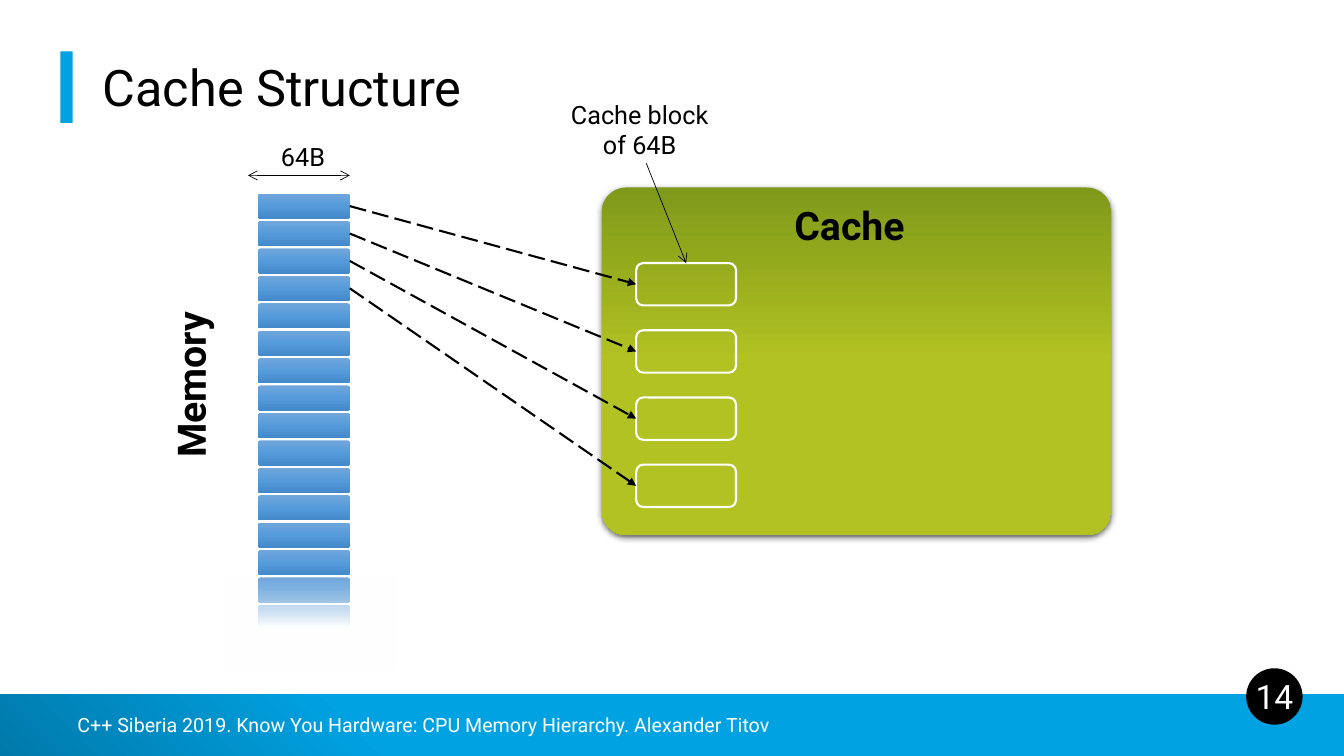
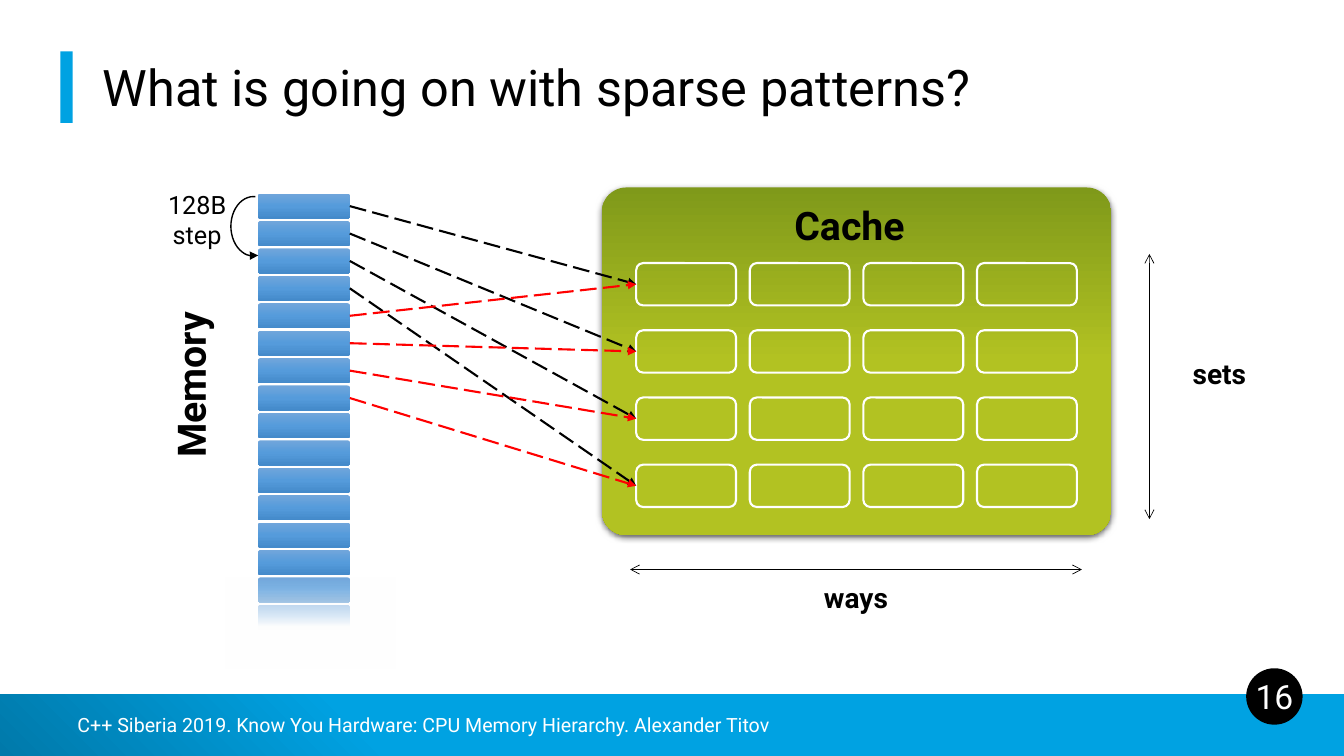
import dataclasses

import lxml.etree
import pptx
import pptx.dml.color
import pptx.enum.dml
import pptx.enum.shapes
import pptx.enum.text
import pptx.oxml.ns
import pptx.util

SHAPE = pptx.enum.shapes.MSO_SHAPE
ALIGN = pptx.enum.text.PP_ALIGN
ANCHOR = pptx.enum.text.MSO_ANCHOR
EMU_PER_PX = 9144
TOP_SITE, LEFT_SITE, RIGHT_SITE = 0, 1, 3


@dataclasses.dataclass(frozen=True)
class Theme:
    font: str = "Roboto"
    black: str = "000000"
    white: str = "FFFFFF"
    accent: str = "00A2E2"
    red: str = "FF0000"
    band: tuple = ((0, "0079AA", 100), (28, "00A2E2", 100), (100, "00A2E2", 100))
    cache: tuple = ((0, "7F991A", 100), (50, "B2C222", 100), (100, "B2C222", 100))
    memory: tuple = ((0, "71A6DB", 100), (50, "559BDB", 100), (100, "448ACA", 100))
    fade: tuple = ((0, "FFFFFF", 0), (54, "FFFFFF", 100), (100, "FFFFFF", 100))
    title_size: int = 36
    heading_size: int = 28
    number_size: int = 24
    axis_size: int = 20
    label_size: int = 18
    footer_size: int = 14
    thin: float = 0.5
    medium: float = 1
    thick: float = 1.5


THEME = Theme()
FOOTER = "C++ Siberia 2019. Know You Hardware: CPU Memory Hierarchy. Alexander Titov"
SLIDES = [
    {
        "title": "Cache Structure",
        "number": "14",
        "ways": 1,
        "fetches": [THEME.black],
        "labels": [
            (["Cache block of 64B"], (546, 93, 177, 71), THEME.label_size, False, True),
            (["64B"], (268, 135, 65, 40), THEME.label_size, False, False),
        ],
        "spans": [((246, 174), (347, 174))],
        "callout_from": (641, 162),
        "step_arc": None,
    },
    {
        "title": "What is going on with sparse patterns?",
        "number": "16",
        "ways": 4,
        "fetches": [THEME.black, THEME.red],
        "labels": [
            (["ways"], (807, 571, 84, 44), THEME.axis_size, True, False),
            (["sets"], (1173, 348, 73, 44), THEME.axis_size, True, False),
            (["128B", "step"], (156, 182, 79, 71), THEME.label_size, False, False),
        ],
        "spans": [((625, 565), (1073, 565)), ((1140, 252), (1140, 515))],
        "callout_from": None,
        "step_arc": (229, 195, 45, 59),
    },
]
MEMORY_ROWS, MEMORY_TOP, MEMORY_LAST = 16, 192, 600
CACHE_SETS, SETS_TOP, SETS_LAST = 4, 261, 461
CACHE_WAYS, WAYS_LEFT, WAYS_LAST = 4, 631, 969


def px(length):
    return pptx.util.Emu(round(length * EMU_PER_PX))


def rgb(value):
    return pptx.dml.color.RGBColor.from_string(value)


def sub(parent, tag, **attributes):
    element = lxml.etree.SubElement(parent, pptx.oxml.ns.qn(tag))
    for name, value in attributes.items():
        element.set(name, str(value))
    return element


def add_color(parent, color, opacity):
    sub(sub(parent, "a:srgbClr", val=color), "a:alpha", val=opacity * 1000)


def apply_gradient(shape, stops, angle):
    properties = shape.element.spPr
    gradient = sub(properties, "a:gradFill", rotWithShape=1)
    stop_list = sub(gradient, "a:gsLst")
    for position, color, opacity in stops:
        add_color(sub(stop_list, "a:gs", pos=position * 1000), color, opacity)
    sub(gradient, "a:lin", ang=angle * 60000, scaled=0)
    properties.insert(2, gradient)


def add_block(slide, kind, box, fill=None, stops=None, angle=90, outline=None):
    shape = slide.shapes.add_shape(kind, *map(px, box))
    shape.shadow.inherit = False
    if stops:
        apply_gradient(shape, stops, angle)
    elif fill:
        shape.fill.solid()
        shape.fill.fore_color.rgb = rgb(fill)
    else:
        shape.fill.background()
    if outline:
        color, width = outline
        shape.line.color.rgb = rgb(color)
        shape.line.width = pptx.util.Pt(width)
    else:
        shape.line.fill.background()
    return shape


def add_run(paragraph, text, size, color=THEME.black, bold=False):
    run = paragraph.add_run()
    run.text = text
    run.font.name = THEME.font
    run.font.size = pptx.util.Pt(size)
    run.font.bold = bold
    run.font.color.rgb = rgb(color)


def add_text(slide, lines, box, size, bold=False, wrap=False, color=THEME.black,
             align=ALIGN.CENTER, anchor=ANCHOR.MIDDLE):
    label = slide.shapes.add_textbox(*map(px, box))
    frame = label.text_frame
    frame.word_wrap = wrap
    frame.vertical_anchor = anchor
    for index, line in enumerate(lines):
        paragraph = frame.add_paragraph() if index else frame.paragraphs[0]
        paragraph.alignment = align
        add_run(paragraph, line, size, color, bold)
    return label


def add_arrowheads(shape, head, tail):
    line = shape.element.spPr.find(pptx.oxml.ns.qn("a:ln"))
    for tag, kind in (("a:headEnd", head), ("a:tailEnd", tail)):
        if kind:
            sub(line, tag, type=kind)


def add_arrow(slide, start, end, color=THEME.black, width=THEME.thin,
              dash=None, head=None, tail="arrow"):
    arrow = slide.shapes.add_connector(
        pptx.enum.shapes.MSO_CONNECTOR.STRAIGHT, *map(px, (*start, *end)))
    arrow.line.color.rgb = rgb(color)
    arrow.line.width = pptx.util.Pt(width)
    if dash:
        arrow.line.dash_style = dash
    add_arrowheads(arrow, head, tail)
    sub(arrow.element.spPr, "a:effectLst")
    return arrow


def add_frame(slide, title, number):
    add_block(slide, SHAPE.RECTANGLE, (0, 689, 1333, 61), stops=THEME.band, angle=315)
    add_block(slide, SHAPE.RECTANGLE, (60, 51, 12, 71), fill=THEME.accent)
    add_block(slide, SHAPE.OVAL, (1236, 663, 56, 56), fill=THEME.black)
    heading = slide.shapes.title
    heading.left, heading.top, heading.width, heading.height = map(px, (92, 0, 1150, 122))
    frame = heading.text_frame
    frame.auto_size = pptx.enum.text.MSO_AUTO_SIZE.NONE
    frame.vertical_anchor = ANCHOR.BOTTOM
    paragraph = frame.paragraphs[0]
    paragraph.alignment = ALIGN.LEFT
    paragraph.line_spacing = 0.9
    add_run(paragraph, title, THEME.title_size)
    add_text(slide, [FOOTER], (67, 695, 1100, 48), THEME.footer_size, wrap=True,
             color=THEME.white, align=ALIGN.LEFT)
    add_text(slide, [number], (1228, 663, 72, 56), THEME.number_size, wrap=True,
             color=THEME.white)


def add_memory(slide):
    pitch = (MEMORY_LAST - MEMORY_TOP) / (MEMORY_ROWS - 1)
    cells = [
        add_block(slide, SHAPE.ROUNDED_RECTANGLE,
                  (256, MEMORY_TOP + row * pitch, 91, 25), stops=THEME.memory)
        for row in range(MEMORY_ROWS)
    ]
    for cell in cells:
        cell.adjustments[0] = 0.1
    add_block(slide, SHAPE.RECTANGLE, (224, 573, 168, 90), stops=THEME.fade)
    name = add_text(slide, ["Memory"], (106, 353, 166, 57), THEME.heading_size,
                    bold=True, anchor=ANCHOR.TOP)
    name.rotation = 270
    return cells


def add_cache(slide, ways):
    body = add_block(slide, SHAPE.ROUNDED_RECTANGLE, (597, 186, 505, 345), stops=THEME.cache)
    body.adjustments[0] = 0.07
    effects = body.element.spPr.find(pptx.oxml.ns.qn("a:effectLst"))
    shadow = sub(effects, "a:outerShdw", blurRad=pptx.util.Pt(4.5),
                 dist=pptx.util.Pt(1.5), dir=90 * 60000, algn="ctr", rotWithShape=0)
    add_color(shadow, THEME.black, 63)
    add_text(slide, ["Cache"], (777, 195, 131, 57), THEME.heading_size,
             bold=True, anchor=ANCHOR.TOP)
    set_pitch = (SETS_LAST - SETS_TOP) / (CACHE_SETS - 1)
    way_pitch = (WAYS_LAST - WAYS_LEFT) / (CACHE_WAYS - 1)
    return [
        [
            add_block(slide, SHAPE.ROUNDED_RECTANGLE,
                      (WAYS_LEFT + way * way_pitch, SETS_TOP + row * set_pitch, 99, 42),
                      outline=(THEME.white, THEME.thick))
            for way in range(ways)
        ]
        for row in range(CACHE_SETS)
    ]


def add_fetches(slide, cells, sets, colors):
    for index, cell in enumerate(cells[:len(colors) * CACHE_SETS]):
        group, row = divmod(index, CACHE_SETS)
        arrow = add_arrow(slide, (0, 0), (1, 1), colors[group], THEME.thick,
                          pptx.enum.dml.MSO_LINE.LONG_DASH, tail="triangle")
        arrow.begin_connect(cell, RIGHT_SITE)
        arrow.end_connect(sets[row][0], LEFT_SITE)


def build_slide(deck, content):
    slide = deck.slides.add_slide(deck.slide_layouts[5])
    add_frame(slide, content["title"], content["number"])
    cells = add_memory(slide)
    sets = add_cache(slide, content["ways"])
    add_fetches(slide, cells, sets, content["fetches"])
    for lines, box, size, bold, wrap in content["labels"]:
        add_text(slide, lines, box, size, bold, wrap)
    for start, end in content["spans"]:
        add_arrow(slide, start, end, head="arrow")
    if content["callout_from"]:
        callout = add_arrow(slide, content["callout_from"], (680, 261))
        callout.end_connect(sets[0][0], TOP_SITE)
    if content["step_arc"]:
        step = add_block(slide, SHAPE.ARC, content["step_arc"],
                         outline=(THEME.black, THEME.medium))
        step.adjustments[0], step.adjustments[1] = 48.6, 164.04
        add_arrowheads(step, "triangle", None)


def main():
    deck = pptx.Presentation()
    deck.slide_width, deck.slide_height = px(1333), px(750)
    for content in SLIDES:
        build_slide(deck, content)
    deck.save("out.pptx")


if __name__ == "__main__":
    main()
